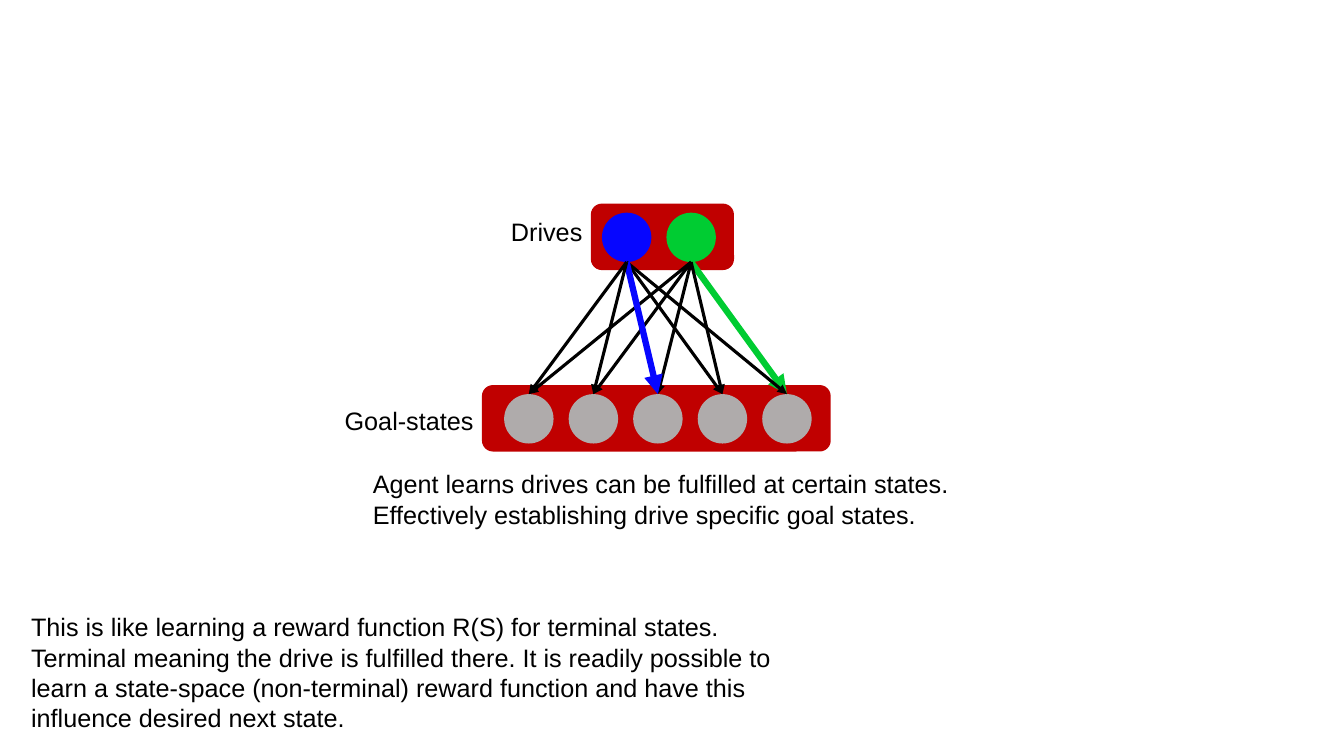
from pptx import Presentation
from pptx.dml.color import RGBColor
from pptx.enum.shapes import MSO_CONNECTOR, MSO_SHAPE
from pptx.enum.text import MSO_AUTO_SIZE
from pptx.oxml.ns import qn
from pptx.util import Pt
from lxml.etree import SubElement

SCALE = 9144
RED, GREY, BLUE, GREEN, BLACK = "C00000", "AFABAB", "0606FF", "00CC32", "000000"
DIAMETER, GOAL_COUNT, GOAL_STEP = 49, 5, 64
STRONG_LINKS = {(BLUE, 2), (GREEN, 4)}
LABELS = [
    ((497, 210, 103, 40), ["Drives"]),
    ((332, 397, 209, 40), ["Goal-states"]),
    ((360, 460, 663, 71), [
        "Agent learns drives can be fulfilled at certain states. "
        "Effectively establishing drive specific goal states."]),
    ((21, 602, 811, 131), [
        "This is like learning a reward function R(S) for terminal states.",
        "Terminal meaning the drive is fulfilled there. It is readily possible to "
        "learn a state-space (non-terminal) reward function and have this "
        "influence desired next state."]),
]


def emu(*lengths):
    """Turn px lengths into EMU."""
    return [length * SCALE for length in lengths]


def paint(color_format, color):
    """Give a colour format a hex colour."""
    color_format.rgb = RGBColor.from_string(color)


def add_block(page, kind, area, color):
    """Add a filled preset shape without outline or shadow."""
    block = page.shapes.add_shape(kind, *emu(*area))
    block.shadow.inherit = False
    block.fill.solid()
    paint(block.fill.fore_color, color)
    block.line.fill.background()
    return block


def add_node(page, left, top, color):
    """Add one round unit of a layer."""
    return add_block(page, MSO_SHAPE.OVAL, (left, top, DIAMETER, DIAMETER), color)


def add_link(page, drive, goal, color, width):
    """Add an arrow from the bottom of a drive to the top of a goal."""
    link = page.shapes.add_connector(
        MSO_CONNECTOR.STRAIGHT,
        drive.left + drive.width // 2, drive.top + drive.height,
        goal.left + goal.width // 2, goal.top)
    link.end_connect(goal, 0)
    paint(link.line.color, color)
    link.line.width = Pt(width)
    SubElement(link.line._get_or_add_ln(), qn("a:tailEnd"), type="triangle")
    SubElement(link._element.spPr, qn("a:effectLst"))


def add_label(page, area, lines):
    """Add a wrapped text box with one paragraph for each line."""
    box = page.shapes.add_textbox(*emu(*area))
    frame = box.text_frame
    frame.word_wrap = True
    frame.auto_size = MSO_AUTO_SIZE.SHAPE_TO_FIT_TEXT
    frame.text = "\n".join(lines)
    for para in frame.paragraphs:
        for span in para.runs:
            for name, value in {"name": "Arial", "size": Pt(18)}.items():
                setattr(span.font, name, value)
            paint(span.font.color, BLACK)


def main():
    """Build the slide of drives and goal states."""
    deck = Presentation()
    deck.slide_width, deck.slide_height = emu(1333, 750)
    page = deck.slides.add_slide(deck.slide_layouts[6])
    for area in ((478, 382, 346, 66), (586, 202, 142, 66)):
        add_block(page, MSO_SHAPE.ROUNDED_RECTANGLE, area, RED)
    goals = [add_node(page, 500 + GOAL_STEP * index, 391, GREY)
             for index in range(GOAL_COUNT)]
    for left, color in ((661, GREEN), (597, BLUE)):
        drive = add_node(page, left, 211, color)
        for index in reversed(range(GOAL_COUNT)):
            strong = (color, index) in STRONG_LINKS
            add_link(page, drive, goals[index],
                     color if strong else BLACK, 4.5 if strong else 2.25)
    for area, lines in LABELS:
        add_label(page, area, lines)
    deck.save("out.pptx")


if __name__ == "__main__":
    main()
